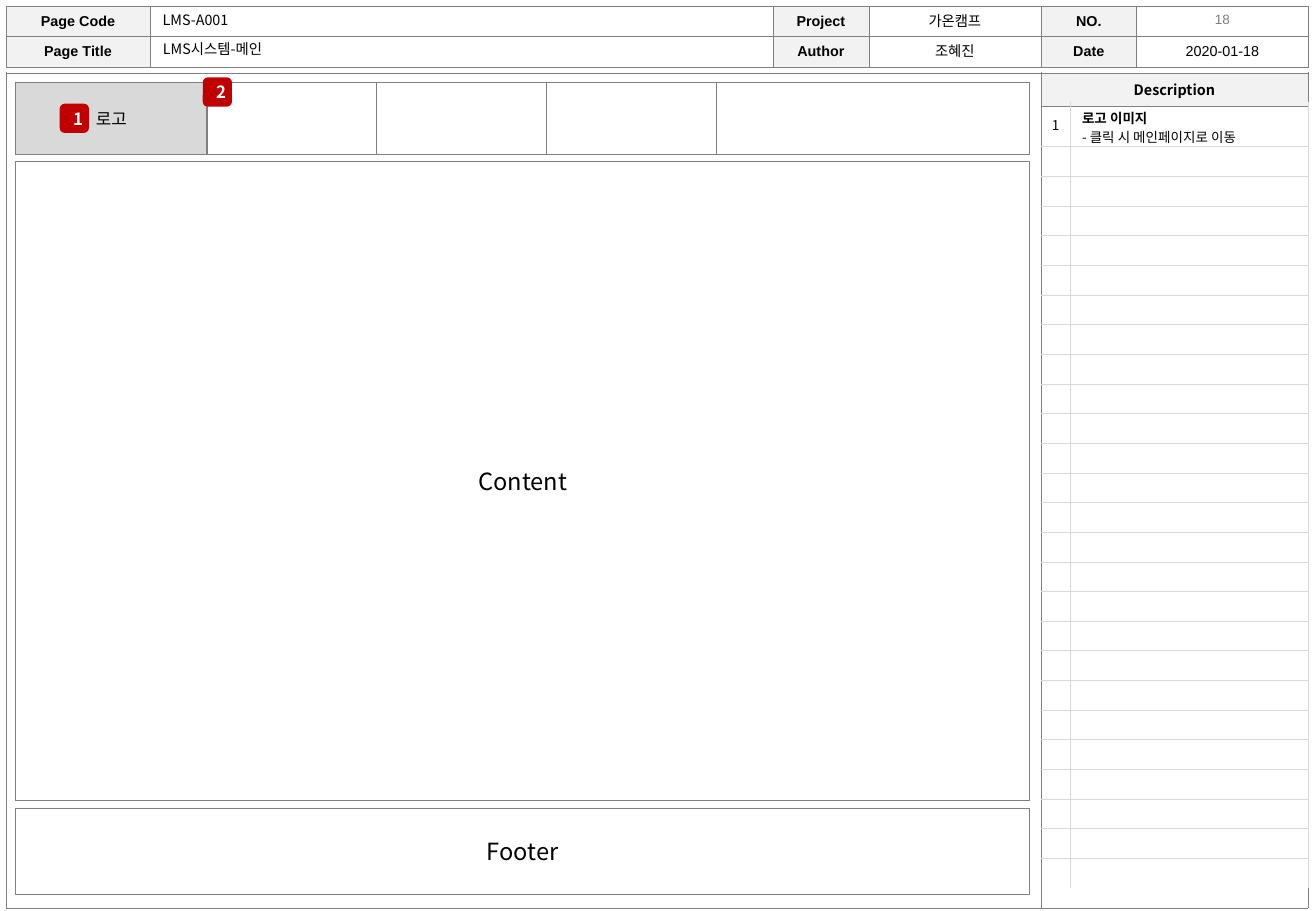
from lxml.etree import SubElement
from pptx import Presentation
from pptx.dml.color import RGBColor
from pptx.enum.shapes import MSO_SHAPE as Shape
from pptx.enum.text import MSO_ANCHOR as Anchor, MSO_AUTO_SIZE as AutoSize, PP_ALIGN as Align
from pptx.oxml import parse_xml
from pptx.oxml.ns import nsdecls, qn
from pptx.util import Cm, Pt

COLORS = {"black": "000000", "white": "FFFFFF", "frame": "808080", "number": "7F7F7F",
          "label": "F2F2F2", "grid": "D9D9D9", "badge": "C00000"}
KOREAN = "Noto Sans CJK KR"
NO_GRID_STYLE = "{2D5ABB26-0587-4C30-8999-92F81FD0307C}"


def color(name):
    """Return the named colour of the palette."""
    return RGBColor.from_string(COLORS[name])


def write(paragraph, text, size=8.5, font=KOREAN, bold=False, ink="black", align=Align.CENTER):
    """Add formatted text to a paragraph."""
    paragraph.alignment = align
    run = paragraph.add_run()
    run.text = text
    run.font.size, run.font.name, run.font.bold = Pt(size), font, bold
    run.font.color.rgb = color(ink)
    SubElement(run.font._element, qn("a:ea"), typeface=font)


def prepare_line(frame):
    """Centre a one-line text frame vertically and return its paragraph."""
    frame.word_wrap, frame.auto_size = True, AutoSize.NONE
    frame.vertical_anchor = Anchor.MIDDLE
    frame.margin_top = frame.margin_bottom = 0
    return frame.paragraphs[0]


def add_line(slide, text, left, top, width, **style):
    """Add a text box that holds one line."""
    box = slide.shapes.add_textbox(Cm(left), Cm(top), Cm(width), Cm(0.62))
    write(prepare_line(box.text_frame), text, **style)


def add_block(slide, left, top, width, height, text="", fill="white", line="frame",
              weight=0.5, kind=Shape.RECTANGLE, **style):
    """Add a filled wireframe block with an optional label."""
    block = slide.shapes.add_shape(kind, Cm(left), Cm(top), Cm(width), Cm(height))
    block.shadow.inherit = False
    block.fill.solid()
    block.fill.fore_color.rgb = color(fill)
    if line:
        block.line.color.rgb = color(line)
        block.line.width = Pt(weight)
    else:
        block.line.fill.background()
    if text:
        write(prepare_line(block.text_frame), text, **style)


def add_badge(slide, number, left, top):
    """Add a red numbered marker."""
    add_block(slide, left, top, 0.61, 0.61, number, fill="badge", line=None,
              kind=Shape.ROUNDED_RECTANGLE, size=10, bold=True, ink="white")


def set_borders(cell, sides, name, weight):
    """Draw the given sides (L, R, T, B) of a cell."""
    properties = cell._tc.get_or_add_tcPr()
    for place, side in enumerate(sides):
        properties.insert(place, parse_xml(
            f'<a:ln{side} {nsdecls("a")} w="{Pt(weight)}"><a:solidFill>'
            f'<a:srgbClr val="{COLORS[name]}"/></a:solidFill></a:ln{side}>'))


def remove_border(cell, side):
    """Clear one side of a cell."""
    properties = cell._tc.tcPr
    properties.remove(properties.find(qn(f"a:ln{side}")))


def add_grid(slide, left, top, widths, heights, line, weight, sides):
    """Add an unfilled table; sides lists the borders for each column."""
    table = slide.shapes.add_table(len(heights), len(widths), Cm(left), Cm(top),
                                   Cm(sum(widths)), Cm(sum(heights))).table
    table.first_row = table.horz_banding = False
    table._tbl.tblPr.find(qn("a:tableStyleId")).text = NO_GRID_STYLE
    for column, width in zip(table.columns, widths):
        column.width = Cm(width)
    for row, height in zip(table.rows, heights):
        row.height = Cm(height)
        for cell, cell_sides in zip(row.cells, sides):
            cell.margin_left = cell.margin_right = Cm(0.1)
            cell.margin_top = cell.margin_bottom = 0
            cell.vertical_anchor = Anchor.MIDDLE
            cell.fill.background()
            set_borders(cell, cell_sides, line, weight)
            SubElement(cell.text_frame.paragraphs[0]._p, qn("a:endParaRPr"), sz="600")
    return table


def fill_cell(cell, text, fill=None, **style):
    """Write a cell's text and optionally shade it."""
    if fill:
        cell.fill.solid()
        cell.fill.fore_color.rgb = color(fill)
    write(cell.text_frame.paragraphs[0], text, **style)


def add_page_info(slide):
    """Add the page information band with its title."""
    info = add_grid(slide, 0.13, 0.13, [3, 13.03, 2, 3.6, 2, 3.59], [0.63, 0.64],
                    "frame", 0.25, ["LRTB"] * 6)
    rows = [["Page Code", "", "Project", "가온캠프", "NO.", ""],
            ["Page Title", "", "Author", "조혜진", "Date", "2020-01-18"]]
    for r, row in enumerate(rows):
        for c, text in enumerate(row):
            if text:
                is_label = c % 2 == 0
                fill_cell(info.cell(r, c), text, "label" if is_label else None,
                          font="Arial", bold=is_label)
    add_line(slide, "18", 23.75, 0.09, 3.61, size=8, font="Arial", ink="number")
    add_line(slide, "LMS-A001", 3.15, 0.1, 13, align=Align.LEFT)
    title = slide.shapes.title
    title.left, title.top, title.width, title.height = Cm(3.15), Cm(0.71), Cm(13), Cm(0.62)
    write(prepare_line(title.text_frame), "LMS시스템-메인", align=Align.LEFT)


def add_description(slide):
    """Add the body frame and the description list at its right."""
    body = add_grid(slide, 0.13, 1.52, [21.63, 5.58], [0.7, 16.77],
                    "frame", 0.25, ["LRTB"] * 2)
    remove_border(body.cell(0, 0), "B")
    remove_border(body.cell(1, 0), "T")
    fill_cell(body.cell(0, 1), "Description", "label", bold=True)

    notes = add_grid(slide, 21.76, 2.13, [0.61, 4.98], [0.94] + [0.62] * 25,
                     "grid", 0.5, ["RB", "LRB"])
    for cell in notes.rows[25].cells:
        remove_border(cell, "B")
    number, note = notes.rows[0].cells
    number.margin_left = number.margin_right = 0
    fill_cell(number, "1", size=8)
    note.margin_left, note.margin_top = Cm(0.25), Cm(0.11)
    fill_cell(note, "로고 이미지", size=8, bold=True, align=Align.LEFT)
    write(note.text_frame.add_paragraph(), "- 클릭 시 메인페이지로 이동",
          size=8, align=Align.LEFT)


def add_wireframe(slide):
    """Add the header, content and footer blocks with their markers."""
    add_block(slide, 0.33, 16.9, 21.2, 1.8, "Footer", size=14)
    add_block(slide, 0.33, 1.73, 21.2, 1.5)
    add_block(slide, 0.33, 1.73, 4, 1.5, "로고", fill="grid", weight=0.75, size=10)
    for menu in range(3):
        add_block(slide, 4.33 + 3.55 * menu, 1.73, 3.55, 1.5)
    add_badge(slide, "1", 1.25, 2.17)
    add_badge(slide, "2", 4.24, 1.62)
    add_block(slide, 0.33, 3.38, 21.2, 13.36, "Content", size=14)


def main():
    """Build and save the storyboard slide."""
    deck = Presentation()
    deck.slide_width, deck.slide_height = Cm(27.51), Cm(19.05)
    slide = deck.slides.add_slide(deck.slide_layouts[5])
    add_page_info(slide)
    add_description(slide)
    add_wireframe(slide)
    deck.save("out.pptx")


main()
